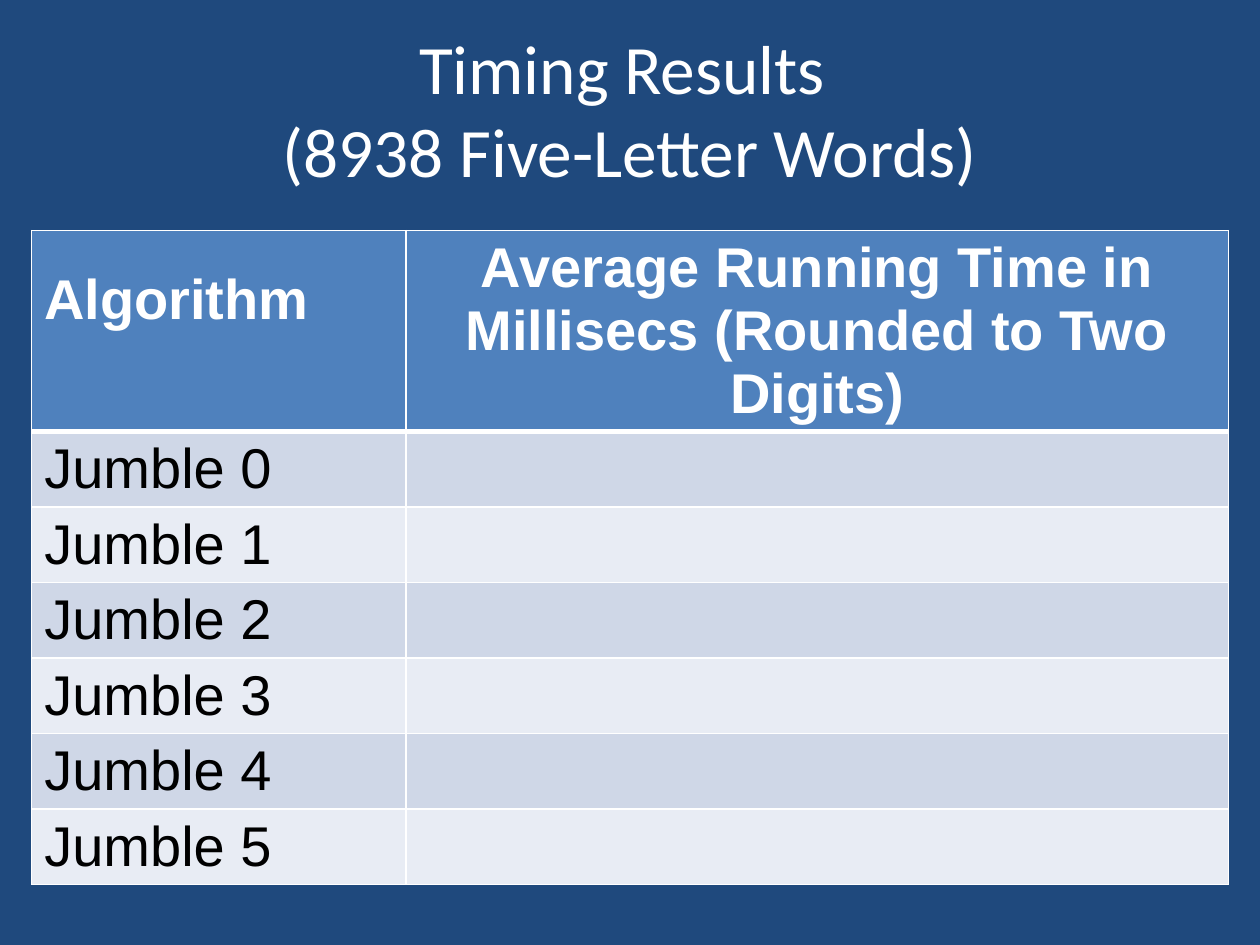
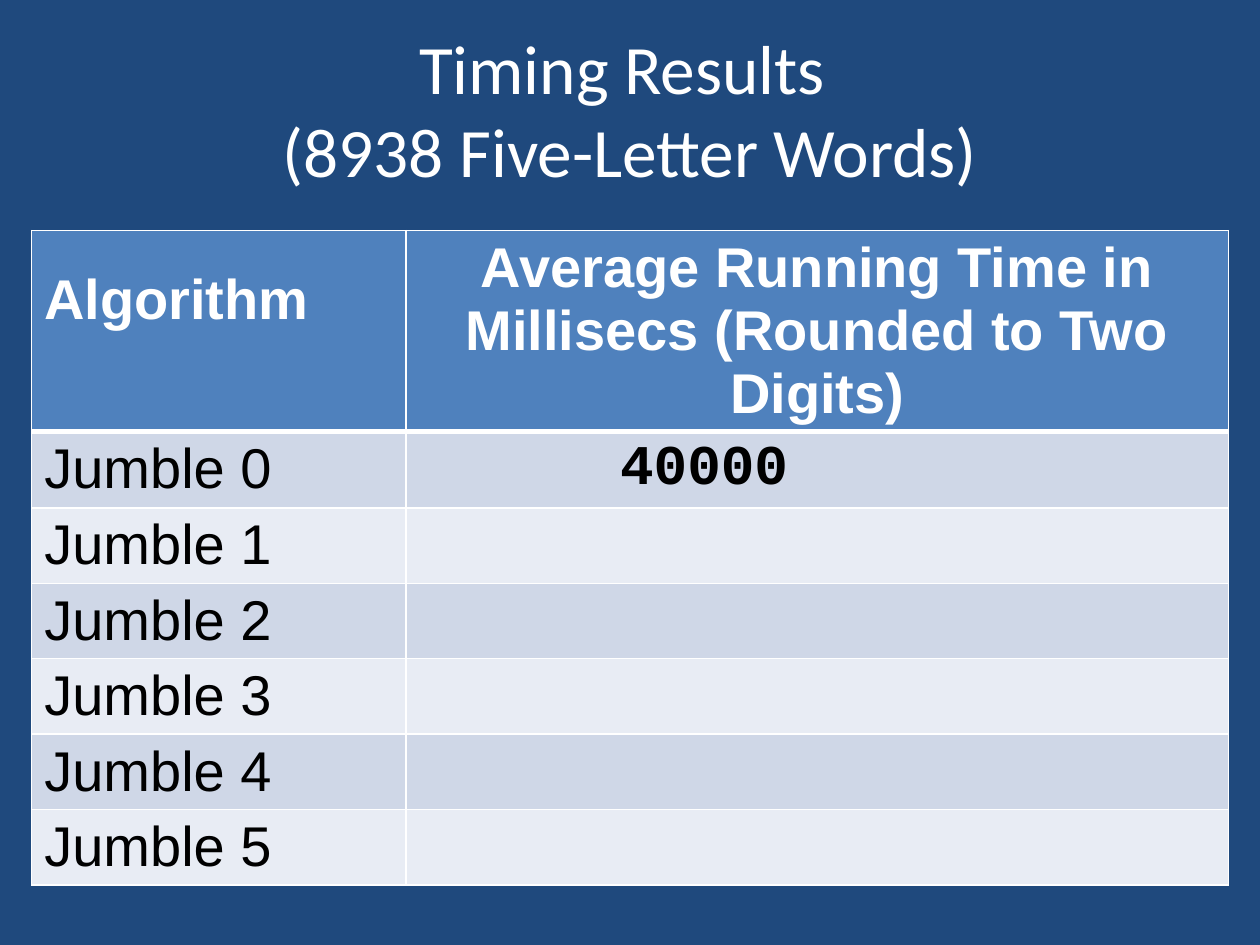
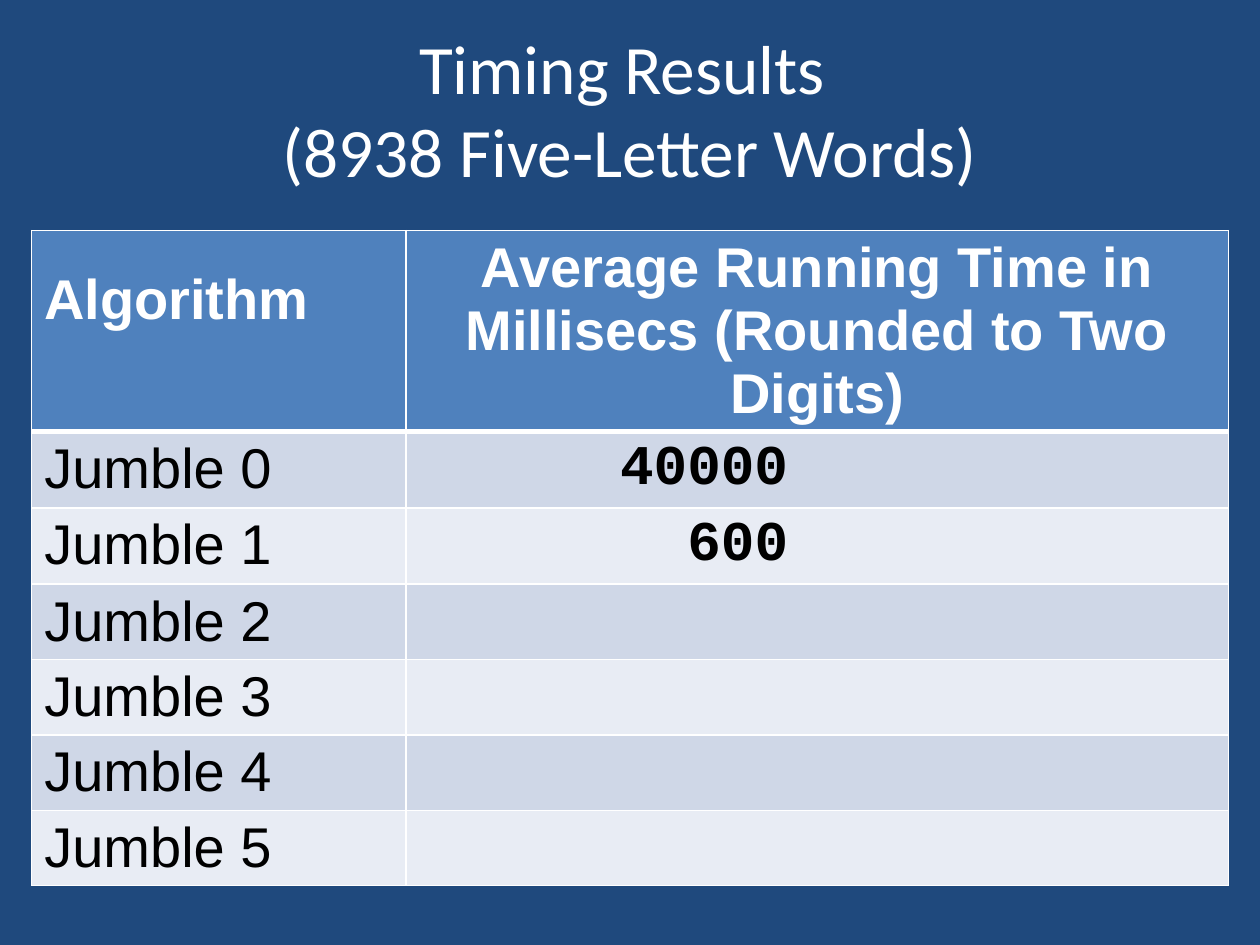
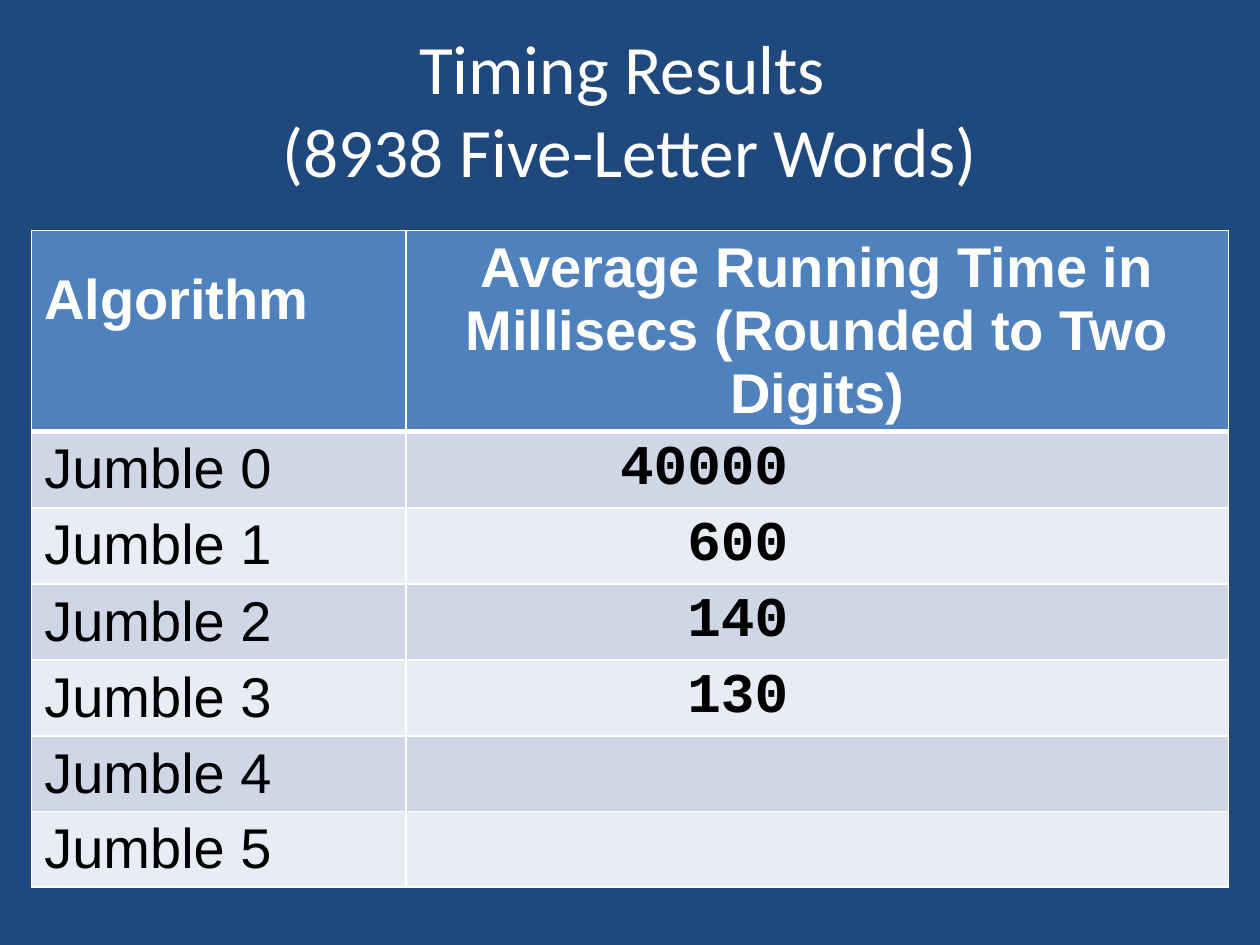
import pptx
import pptx.dml.color
import pptx.enum.text
import pptx.oxml
import pptx.oxml.ns
import pptx.util
from pptx.util import Cm, Pt

RGBColor = pptx.dml.color.RGBColor
Align = pptx.enum.text.PP_ALIGN

NAVY = RGBColor(0x1F, 0x49, 0x7D)
HEADER_BLUE = RGBColor(0x4F, 0x81, 0xBD)
BAND_DARK = RGBColor(0xCF, 0xD7, 0xE7)
BAND_LIGHT = RGBColor(0xE8, 0xEC, 0xF4)
WHITE = RGBColor(0xFF, 0xFF, 0xFF)
BLACK = RGBColor(0, 0, 0)

# Boxes are left, top, width, height in centimetres.
TITLE_BOX = (1.27, 1.19, 22.86, 1.98)
TABLE_BOX = (0.64, 4.65, 24.13, 9.21)
NAME_COLUMN = 7.54
HEADER_ROW = 2.97
TIME_RIGHT_MARGIN = 8.88

TITLE = "Timing Results \v(8938 Five-Letter Words)"
HEADINGS = ("Algorithm", "Average Running Time in Millisecs (Rounded to Two Digits)")
ALGORITHMS = [f"Jumble {number}" for number in range(6)]
TIMES = ("40000", "600", "140", "130")
TIMES_SHOWN = (0, 1, 2, 4)

TITLE_FONT = {"name": "Calibri", "size": Pt(39.6)}
HEADING_FONT = {"name": "Arial", "size": Pt(32), "bold": True}
NAME_FONT = {"name": "Arial", "size": Pt(32), "bold": False}
TIME_FONT = {"name": "Courier New", "size": Pt(32), "bold": True}


def set_attributes(target, values):
    for name, value in values.items():
        setattr(target, name, value)


def format_text(text_frame, font, color, alignment):
    for paragraph in text_frame.paragraphs:
        paragraph.alignment = alignment
        for run in paragraph.runs:
            set_attributes(run.font, font)
            run.font.color.rgb = color


def set_borders(cell, widths):
    """Draw solid white borders; widths maps L, R, T and B to points."""
    properties = cell._tc.get_or_add_tcPr()
    for position, (side, width) in enumerate(widths.items()):
        line = pptx.oxml.parse_xml(
            f'<a:ln{side} {pptx.oxml.ns.nsdecls("a")} w="{Pt(width)}">'
            f'<a:solidFill><a:srgbClr val="{WHITE}"/></a:solidFill></a:ln{side}>'
        )
        properties.insert(position, line)


def add_title(slide, box):
    title = slide.shapes.title
    set_attributes(title, dict(zip(("left", "top", "width", "height"), map(Cm, box))))
    text_frame = title.text_frame
    text_frame.text = TITLE
    set_attributes(text_frame, {
        "word_wrap": True,
        "auto_size": pptx.enum.text.MSO_AUTO_SIZE.NONE,
        "vertical_anchor": pptx.enum.text.MSO_ANCHOR.MIDDLE,
    })
    format_text(text_frame, TITLE_FONT, WHITE, Align.CENTER)


def fill_cell(cell, text, fill, font, color, alignment):
    cell.fill.solid()
    cell.fill.fore_color.rgb = fill
    if text:
        cell.text = text
        format_text(cell.text_frame, font, color, alignment)


def add_timing_table(slide, box, times):
    left, top, width, height = box
    row_count = len(ALGORITHMS) + 1
    table = slide.shapes.add_table(row_count, 2, *map(Cm, box)).table
    set_attributes(table, {"first_row": False, "horz_banding": False})
    for column, column_width in zip(table.columns, (NAME_COLUMN, width - NAME_COLUMN)):
        column.width = Cm(column_width)
    body_row = (height - HEADER_ROW) / len(ALGORITHMS)
    for index, row in enumerate(table.rows):
        row.height = Cm(body_row if index else HEADER_ROW)

    for column, alignment in enumerate((Align.LEFT, Align.CENTER)):
        fill_cell(table.cell(0, column), HEADINGS[column], HEADER_BLUE,
                  HEADING_FONT, WHITE, alignment)
    table.cell(0, 0).margin_top = Cm(0.76)

    for index, algorithm in enumerate(ALGORITHMS):
        band = BAND_LIGHT if index % 2 else BAND_DARK
        name_cell, time_cell = table.rows[index + 1].cells
        time = times[index] if index < len(times) else ""
        fill_cell(name_cell, algorithm, band, NAME_FONT, BLACK, Align.LEFT)
        fill_cell(time_cell, time, band, TIME_FONT, BLACK, Align.RIGHT)
        if time:
            time_cell.margin_right = Cm(TIME_RIGHT_MARGIN)

    for index, row in enumerate(table.rows):
        for cell in row.cells:
            set_borders(cell, {"L": 1, "R": 1, "T": 3 if index == 1 else 1,
                               "B": 3 if index == 0 else 1})


def add_timing_slide(presentation, times):
    slide = presentation.slides.add_slide(presentation.slide_layouts[5])
    add_title(slide, TITLE_BOX)
    add_timing_table(slide, TABLE_BOX, times)


def main():
    presentation = pptx.Presentation()
    set_attributes(presentation, {"slide_width": Cm(25.4), "slide_height": Cm(19.05)})
    background = presentation.slide_master.background.fill
    background.solid()
    background.fore_color.rgb = NAVY
    for count in TIMES_SHOWN:
        add_timing_slide(presentation, TIMES[:count])
    presentation.save("out.pptx")


if __name__ == "__main__":
    main()
